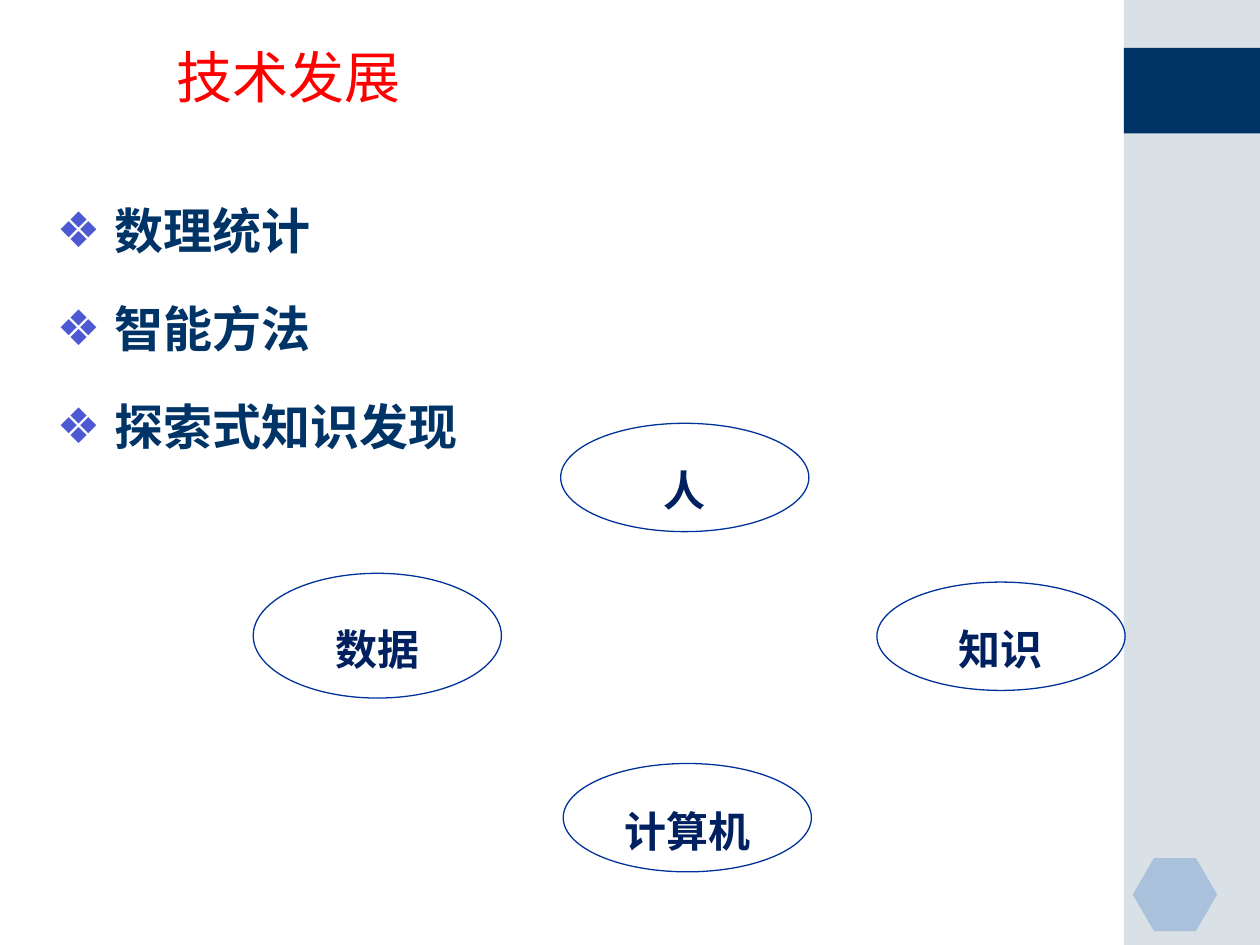
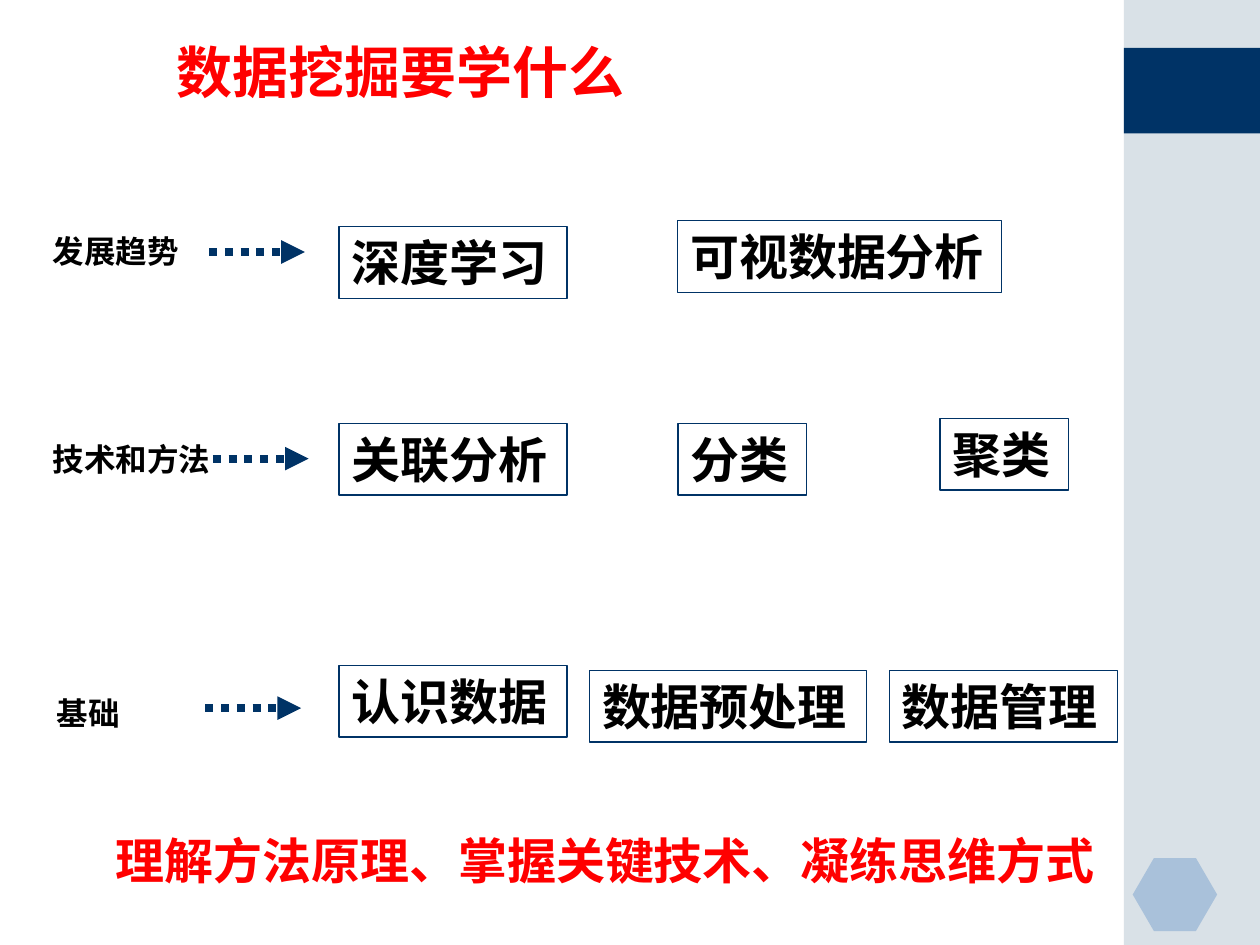
from typing import NamedTuple

from lxml import etree
from pptx import Presentation
from pptx.dml.color import RGBColor
from pptx.enum.dml import MSO_LINE
from pptx.enum.shapes import MSO_CONNECTOR, MSO_SHAPE as Preset
from pptx.enum.text import MSO_ANCHOR as Anchor, MSO_AUTO_SIZE as AutoSize, PP_ALIGN as Align
from pptx.oxml.ns import qn
from pptx.util import Inches, Pt

# Shared look
RED, BLACK, NAVY, INK, LINE_BLUE = "FF0000", "000000", "003366", "002060", "003399"
BULLET_COLOUR = "4C59D2"
LATO, DEJAVU, NOTO = "Lato", "DejaVu Sans", "Noto Sans CJK SC"
BOX_HEIGHT, LABEL_HEIGHT, ARROW_LENGTH = 0.57, 0.4, 0.76


class Area(NamedTuple):
    left: float
    top: float
    width: float
    height: float

    def lengths(self):
        return [Inches(value) for value in self]


class TextStyle(NamedTuple):
    size: float
    font: str
    colour: str
    bold: bool = True


class Decoration(NamedTuple):
    preset: Preset
    area: Area
    colour: str
    alpha: int


class Topic(NamedTuple):
    text: str
    left: float
    top: float
    width: float


class Level(NamedTuple):
    label: Topic
    arrow_left: float
    arrow_y: float
    topics: list[Topic]


DECORATIONS = [
    Decoration(Preset.RECTANGLE, Area(8.92, 0, 1.08, 7.5), "A0B5C4", 40),
    Decoration(Preset.RECTANGLE, Area(8.92, 0.38, 1.08, 0.68), NAVY, 100),
    Decoration(Preset.HEXAGON, Area(8.99, 6.81, 0.67, 0.58), "5086C2", 35),
]
LIST_STYLE = TextStyle(28, NOTO, NAVY)
ELLIPSE_STYLE = TextStyle(24, NOTO, INK)
TOPIC_STYLE = TextStyle(28, LATO, BLACK)
LABEL_STYLE = TextStyle(18, LATO, BLACK)
CLOSING_STYLE = TextStyle(28, LATO, RED)

METHODS = ["数理统计", "智能方法", "探索式知识发现"]
ELLIPSES = [
    ("数据", Area(2.01, 4.55, 1.97, 0.99)),
    ("知识", Area(6.96, 4.62, 1.97, 0.86)),
    ("人", Area(4.45, 3.36, 1.97, 0.86)),
    ("计算机", Area(4.47, 6.06, 1.97, 0.86)),
]
LEVELS = [
    Level(Topic("发展趋势", 0.32, 1.79, 1.53), 1.66, 2, [
        Topic("深度学习", 2.69, 1.8, 1.81),
        Topic("可视数据分析", 5.38, 1.75, 2.57),
    ]),
    Level(Topic("技术和方法", 0.32, 3.44, 1.53), 1.69, 3.64, [
        Topic("关联分析", 2.69, 3.36, 1.81),
        Topic("分类", 5.38, 3.36, 1.02),
        Topic("聚类", 7.46, 3.32, 1.02),
    ]),
    Level(Topic("基础", 0.35, 5.46, 1.02), 1.63, 5.62, [
        Topic("认识数据", 2.69, 5.28, 1.81),
        Topic("数据预处理", 4.68, 5.32, 2.2),
        Topic("数据管理", 7.06, 5.32, 1.81),
    ]),
]


def colour_of(value: str) -> RGBColor:
    return RGBColor.from_string(value)


def add_run(paragraph, text: str, style: TextStyle) -> None:
    run = paragraph.add_run()
    run.text = text
    run.font.size, run.font.name, run.font.bold = Pt(style.size), style.font, style.bold
    run.font.color.rgb = colour_of(style.colour)
    # East Asian glyphs take Lato's line height
    east_asian = etree.SubElement(run.font._element, qn("a:ea"))
    east_asian.set("typeface", LATO)


def prepare_frame(shape, anchor: Anchor = Anchor.TOP):
    frame = shape.text_frame
    frame.word_wrap, frame.auto_size = True, AutoSize.NONE
    frame.vertical_anchor = anchor
    return frame


def place(shape, area: Area) -> None:
    shape.left, shape.top, shape.width, shape.height = area.lengths()


def add_bullet(paragraph, indent: float) -> None:
    properties = paragraph._p.get_or_add_pPr()
    properties.set("marL", str(Inches(indent)))
    properties.set("indent", str(-Inches(indent)))
    bullet_colour = etree.SubElement(properties, qn("a:buClr"))
    etree.SubElement(bullet_colour, qn("a:srgbClr")).set("val", BULLET_COLOUR)
    etree.SubElement(properties, qn("a:buChar")).set("char", "❖")


def add_decoration(slide, item: Decoration) -> None:
    shape = slide.shapes.add_shape(item.preset, *item.area.lengths())
    shape.shadow.inherit = False
    shape.line.fill.background()
    shape.fill.solid()
    shape.fill.fore_color.rgb = colour_of(item.colour)
    if item.preset == Preset.HEXAGON:
        shape.adjustments[0] = 0.29
    if item.alpha < 100:
        colour = shape._element.spPr.find(".//" + qn("a:srgbClr"))
        etree.SubElement(colour, qn("a:alpha")).set("val", str(item.alpha * 1000))


def start_slide(presentation, layout: int, title: str, area: Area, bold: bool):
    slide = presentation.slides.add_slide(presentation.slide_layouts[layout])
    for item in DECORATIONS:
        add_decoration(slide, item)
    place(slide.shapes.title, area)
    paragraph = prepare_frame(slide.shapes.title).paragraphs[0]
    paragraph.alignment = Align.LEFT
    add_run(paragraph, title, TextStyle(32, DEJAVU, RED, bold))
    return slide


def add_outline(slide, preset: Preset, area: Area, colour: str, anchor: Anchor):
    shape = slide.shapes.add_shape(preset, *area.lengths())
    shape.shadow.inherit = False
    shape.fill.background()
    shape.line.color.rgb = colour_of(colour)
    shape.line.width = Pt(0.75)
    return prepare_frame(shape, anchor).paragraphs[0]


def add_ellipse(slide, text: str, area: Area) -> None:
    paragraph = add_outline(slide, Preset.OVAL, area, LINE_BLUE, Anchor.MIDDLE)
    paragraph.alignment, paragraph.line_spacing = Align.CENTER, 1.5
    add_run(paragraph, text, ELLIPSE_STYLE)


def add_topic(slide, topic: Topic) -> None:
    area = Area(topic.left, topic.top, topic.width, BOX_HEIGHT)
    paragraph = add_outline(slide, Preset.RECTANGLE, area, NAVY, Anchor.TOP)
    paragraph.alignment = Align.LEFT
    add_run(paragraph, topic.text, TOPIC_STYLE)


def add_label(slide, text: str, area: Area, style: TextStyle) -> None:
    box = slide.shapes.add_textbox(*area.lengths())
    add_run(prepare_frame(box).paragraphs[0], text, style)


def add_arrow(slide, left: float, y: float) -> None:
    arrow = slide.shapes.add_connector(
        MSO_CONNECTOR.STRAIGHT, Inches(left), Inches(y), Inches(left + ARROW_LENGTH), Inches(y))
    arrow.line.color.rgb = colour_of(NAVY)
    arrow.line.width = Pt(4.5)
    arrow.line.dash_style = MSO_LINE.ROUND_DOT
    properties = arrow._element.spPr
    etree.SubElement(properties.find(qn("a:ln")), qn("a:tailEnd")).set("type", "triangle")
    etree.SubElement(properties, qn("a:effectLst"))


def build_development(presentation) -> None:
    slide = start_slide(presentation, 1, "技术发展", Area(1.3, 0.29, 9, 0.92), False)
    # Bulleted methods
    body = slide.placeholders[1]
    place(body, Area(0.35, 1.31, 9.15, 5.61))
    frame = prepare_frame(body)
    for index, method in enumerate(METHODS):
        paragraph = frame.add_paragraph() if index else frame.paragraphs[0]
        paragraph.line_spacing = 1.5
        paragraph.space_before = Pt(5.6 if index else 0)
        add_bullet(paragraph, 0.46)
        add_run(paragraph, method, LIST_STYLE)
    # Ring of participants
    for text, area in ELLIPSES:
        add_ellipse(slide, text, area)


def build_contents(presentation) -> None:
    slide = start_slide(presentation, 5, "数据挖掘要学什么", Area(1.3, 0.25, 8.25, 0.95), True)
    # Each level: label, arrow, topics
    for level in LEVELS:
        label = level.label
        area = Area(label.left, label.top, label.width, LABEL_HEIGHT)
        add_label(slide, label.text, area, LABEL_STYLE)
        add_arrow(slide, level.arrow_left, level.arrow_y)
        for topic in level.topics:
            add_topic(slide, topic)
    # Closing line
    add_label(slide, "理解方法原理、掌握关键技术、凝练思维方式",
              Area(0.82, 6.54, 8.05, BOX_HEIGHT), CLOSING_STYLE)


def main() -> None:
    presentation = Presentation()
    presentation.slide_width, presentation.slide_height = Inches(10), Inches(7.5)
    build_development(presentation)
    build_contents(presentation)
    presentation.save("out.pptx")


if __name__ == "__main__":
    main()
